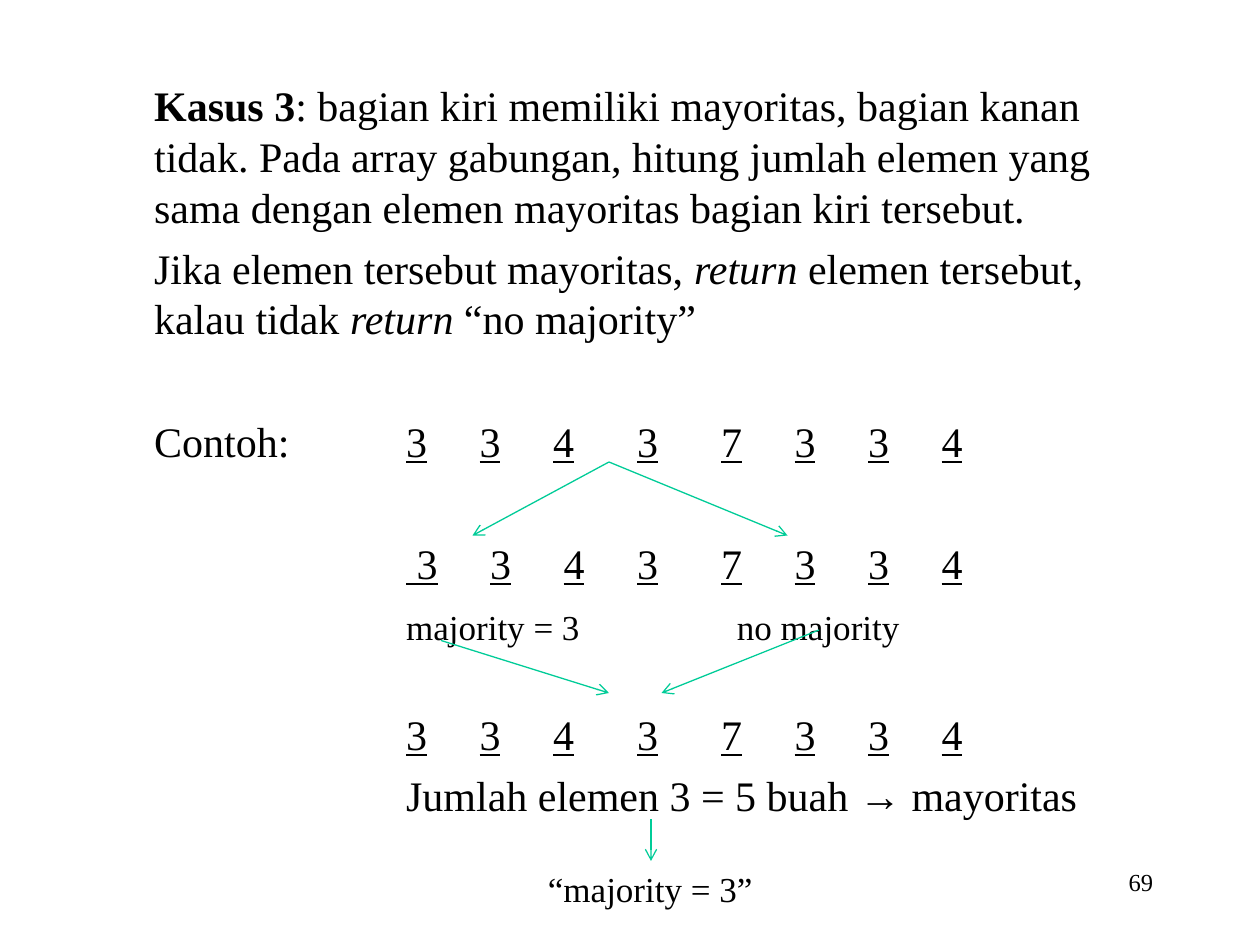
from lxml import etree
from pptx import Presentation
from pptx.dml.color import RGBColor
from pptx.enum.shapes import MSO_CONNECTOR as Connector
from pptx.enum.text import PP_ALIGN as Align
from pptx.oxml.ns import qn
from pptx.util import Inches, Pt

BLACK = RGBColor(0x00, 0x00, 0x00)
GREEN = RGBColor(0x00, 0xCC, 0x98)
SERIF, SANS = "Times New Roman", "Arial"
CELL = Inches(1) // 12  # the slide is a grid of 120 columns by 90 rows

deck = Presentation()
deck.slide_width, deck.slide_height = 120 * CELL, 90 * CELL
slide = deck.slides.add_slide(deck.slide_layouts[6])


def add_frame(left, top, width, height, wrap=True):
    box = slide.shapes.add_textbox(*(int(n * CELL) for n in (left, top, width, height)))
    box.text_frame.word_wrap = wrap
    return box.text_frame


def add_runs(paragraph, runs, size):
    """Each run is (text, style); style holds any of b, i, u, or a for Arial."""
    for text, style in runs:
        run = paragraph.add_run()
        run.text = text
        font = run.font
        font.name = SANS if "a" in style else SERIF
        font.size = Pt(size)
        font.color.rgb = BLACK
        font.bold, font.italic, font.underline = ("b" in style, "i" in style, "u" in style)


# Tab stops of the array columns, in grid columns from the text edge
whole_stops = [24, 31, 38, 46, 54, 61, 68, 75]
halves_stops = [25, 32, 39, 46, 54, 61, 68, 75]
whole_array = ("3\t3\t4\t3\t7\t3\t3\t4", "u")

# Explanation and worked example: runs, size, space before, tab stops
rows = [
    ([("Kasus 3", "b"),
      (": bagian kiri memiliki mayoritas, bagian kanan tidak. Pada array gabungan, "
       "hitung jumlah elemen yang sama dengan elemen mayoritas bagian kiri tersebut.", "")],
     24, 0, []),
    ([("Jika elemen tersebut mayoritas, ", ""), ("return", "i"),
      (" elemen tersebut, kalau tidak ", ""), ("return", "i"),
      (" “no majority”", "")], 24, 6, []),
    ([("Contoh:\t", ""), whole_array], 24, 41, whole_stops),
    ([("\t", ""), (" 3\t3\t4\t3", "u"), ("\t", ""), ("7\t3\t3\t4", "u")],
     24, 41, [24] + halves_stops[1:]),
    ([("\tmajority = 3\tno majority", "")], 20, 5, [24, 55.5]),
    ([("\t", ""), whole_array], 24, 35, whole_stops),
    ([("\tJumlah elemen 3 = 5 buah ", ""), ("→", "a"), (" mayoritas", "")], 24, 6, [24]),
]
explanation = add_frame(13.5, 7, 97.5, 73)
for number, (runs, size, gap, stops) in enumerate(rows):
    paragraph = explanation.paragraphs[0] if number == 0 else explanation.add_paragraph()
    if stops:
        tabs = etree.SubElement(paragraph._p.get_or_add_pPr(), qn("a:tabLst"))
        for stop in stops:
            etree.SubElement(tabs, qn("a:tab"), pos=str(int(stop * CELL)), algn="l")
    paragraph.line_spacing = Pt(28.9)
    if gap:
        paragraph.space_before = Pt(gap)
    add_runs(paragraph, runs, size)

# Slide number
page_number = add_frame(86, 82, 25, 6).paragraphs[0]
page_number.alignment = Align.RIGHT
add_runs(page_number, [("69", "")], 14)

# Final answer
answer = add_frame(51, 82, 22, 5.25, wrap=False).paragraphs[0]
add_runs(answer, [("“majority = 3”", "")], 20)

# Arrows: split, merge, and down to the answer
arrows = [
    (58, 44, 45, 51), (58, 44, 75, 51),
    (42, 61, 58, 66), (78, 60, 63, 66),
    (62, 78, 62, 82),
]
for ends in arrows:
    arrow = slide.shapes.add_connector(Connector.STRAIGHT, *(n * CELL for n in ends))
    arrow.line.color.rgb = GREEN
    arrow.line.width = Pt(0.75)
    etree.SubElement(arrow.line._get_or_add_ln(), qn("a:tailEnd"), type="arrow")
    etree.SubElement(arrow._element.spPr, qn("a:effectLst"))

deck.save("out.pptx")
